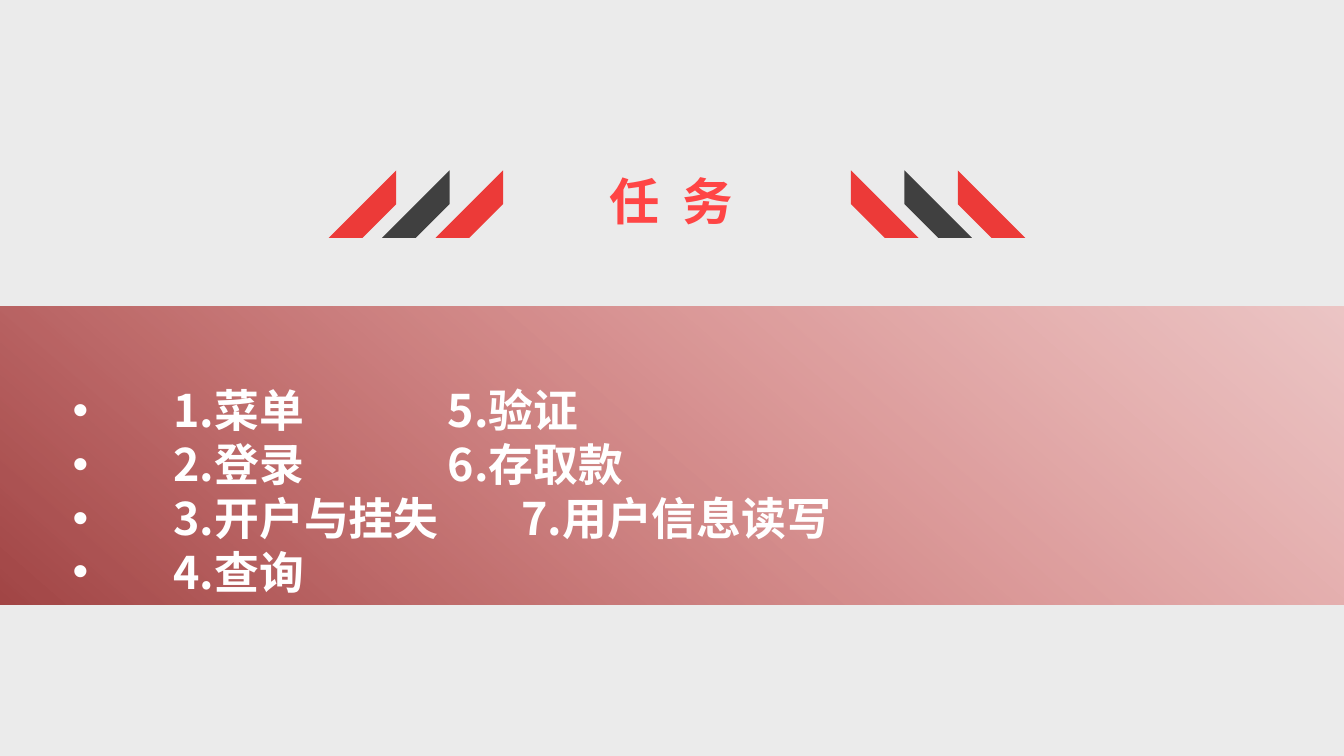
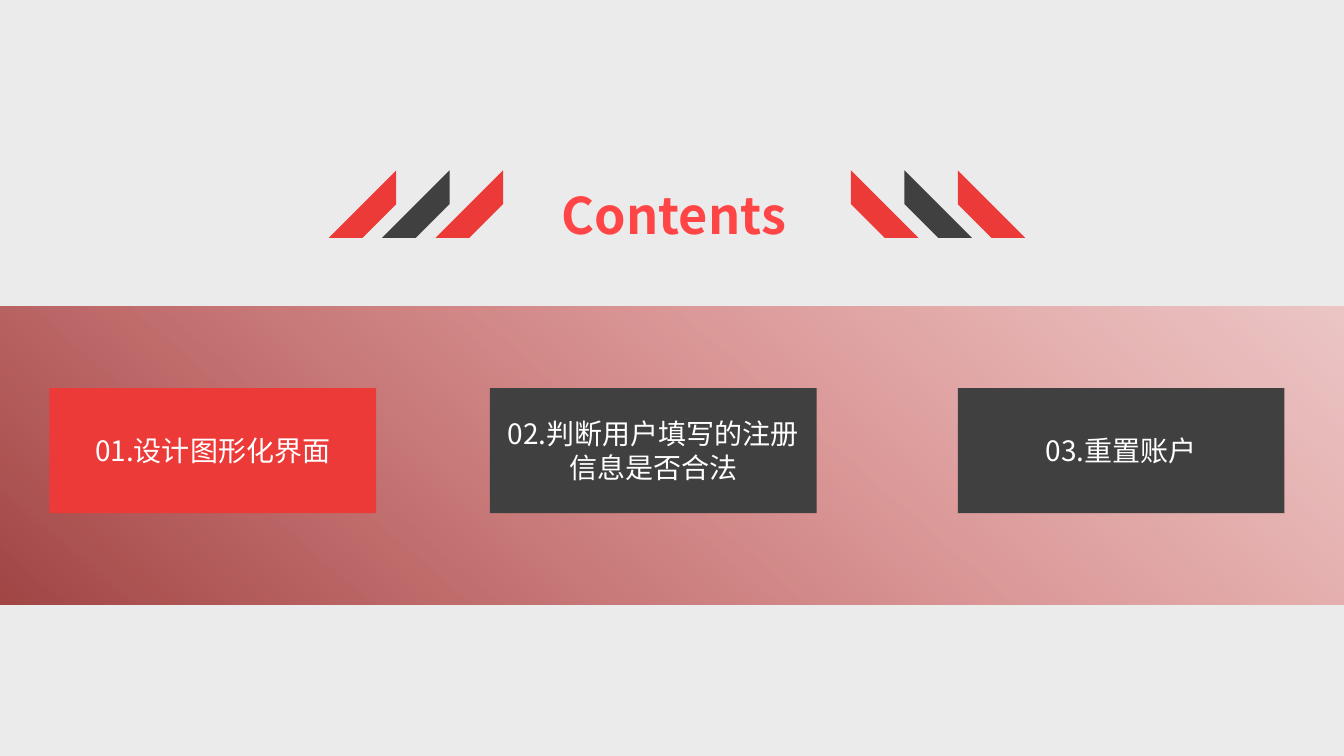
from lxml import etree
from pptx import Presentation
from pptx.dml.color import RGBColor
from pptx.enum.shapes import MSO_SHAPE
from pptx.enum.text import MSO_ANCHOR, MSO_AUTO_SIZE, PP_ALIGN
from pptx.oxml.ns import qn
from pptx.util import Inches, Pt

RECTANGLE = MSO_SHAPE.RECTANGLE
STRIPE = MSO_SHAPE.DIAGONAL_STRIPE
TOP, MIDDLE = MSO_ANCHOR.TOP, MSO_ANCHOR.MIDDLE
LEFT, CENTER = PP_ALIGN.LEFT, PP_ALIGN.CENTER
NO_AUTOFIT = MSO_AUTO_SIZE.NONE

FONT = "Noto Sans CJK SC"
PALE = RGBColor(0xEB, 0xEB, 0xEB)
RED = RGBColor(0xEC, 0x3A, 0x38)
DARK_RED = RGBColor(0x89, 0x0D, 0x0D)
TITLE_RED = RGBColor(0xFF, 0x45, 0x45)
GRAY = RGBColor(0x40, 0x40, 0x40)
WHITE = RGBColor(0xFF, 0xFF, 0xFF)


def write(shape, lines, size, color=WHITE, bold=False, align=CENTER,
          anchor=TOP, tracking=0, tab_stops=None):
    frame = shape.text_frame
    frame.word_wrap = True
    frame.auto_size = NO_AUTOFIT
    frame.vertical_anchor = anchor
    for index, line in enumerate(lines):
        paragraph = frame.add_paragraph() if index else frame.paragraphs[0]
        if tab_stops:
            properties = paragraph._p.get_or_add_pPr()
            properties.set("marL", "0")
            properties.set("indent", "0")
            etree.SubElement(properties, qn("a:buChar"), char="•")
            tabs = etree.SubElement(properties, qn("a:tabLst"))
            for stop in tab_stops[index]:
                etree.SubElement(tabs, qn("a:tab"), pos=str(Inches(stop)), algn="l")
        paragraph.alignment = align
        paragraph.space_before = Pt(0)
        paragraph.line_spacing = Pt(size * 1.2)
        run = paragraph.add_run()
        run.text = line
        run.font.size = Pt(size)
        run.font.bold = bold
        run.font.color.rgb = color
        run.font.name = FONT
        run_properties = run._r.get_or_add_rPr()
        etree.SubElement(run_properties, qn("a:ea"), typeface=FONT)
        if tracking:
            run_properties.set("spc", str(tracking * 100))


def add_block(shapes, kind, left, top, width, height, color):
    block = shapes.add_shape(kind, Inches(left), Inches(top), Inches(width), Inches(height))
    block.shadow.inherit = False
    block.line.fill.background()
    block.fill.solid()
    block.fill.fore_color.rgb = color
    return block


presentation = Presentation()
presentation.slide_width = Inches(13.33)
presentation.slide_height = Inches(7.5)
background = presentation.slide_master.background.fill
background.solid()
background.fore_color.rgb = PALE

TITLE_AND_CONTENT, TITLE_ONLY = 1, 5
pages = [
    (TITLE_AND_CONTENT, "任 务", (5.04, 1.64, 3.24, 0.71), CENTER, 4),
    (TITLE_ONLY, "Contents", (5.47, 1.78, 2.5, 0.71), LEFT, 0),
]
slides = []
for layout, heading, box, align, tracking in pages:
    slide = presentation.slides.add_slide(presentation.slide_layouts[layout])
    slides.append(slide)

    band = add_block(slide.shapes, RECTANGLE, 0, 3.04, 13.35, 2.96, RED)
    band.fill.gradient()
    band.fill.gradient_angle = 360 - 131
    for stop, color in zip(band.fill.gradient_stops, (RED, DARK_RED)):
        stop.color.rgb = color
    for color, opacity in zip(band._element.spPr.iter(qn("a:srgbClr")), (21, 75)):
        etree.SubElement(color, qn("a:alpha"), val=str(opacity * 1000))
    slide.shapes._spTree.insert(2, band._element)

    title = slide.shapes.title
    title.left, title.top, title.width, title.height = map(Inches, box)
    write(title, [heading], 36, color=TITLE_RED, bold=True, align=align, tracking=tracking)

    for group_left, mirrored in ((3.26, True), (8.44, False)):
        group = slide.shapes.add_group_shape()
        for index, color in enumerate((RED, GRAY, RED)):
            stripe = add_block(group.shapes, STRIPE, group_left + 0.53 * index, 1.69,
                               0.67, 0.67, color)
            stripe.rotation = 270
            if mirrored:
                stripe._element.spPr.find(qn("a:xfrm")).set("flipV", "1")

task_slide, contents_slide = slides

tasks = [
    "\t1.菜单\t5.验证",
    "\t2.登录\t6.存取款",
    "\t3.开户与挂失\t7.用户信息读写",
    "\t4.查询",
]
task_list = task_slide.placeholders[1]
task_list.left, task_list.top = Inches(0.62), Inches(3.75)
task_list.width, task_list.height = Inches(11.78), Inches(2.26)
write(task_list, tasks, 32, bold=True, align=LEFT,
      tab_stops=[(1, 3.72), (1, 3.72), (1, 4.45), (1,)])

cards = [
    (0.49, RED, "01.设计图形化界面"),
    (4.86, GRAY, "02.判断用户填写的注册信息是否合法"),
    (9.5, GRAY, "03.重置账户"),
]
for left, color, text in cards:
    card = add_block(contents_slide.shapes, RECTANGLE, left, 3.85, 3.24, 1.24, color)
    write(card, [text], 20, anchor=MIDDLE)

presentation.save("out.pptx")
